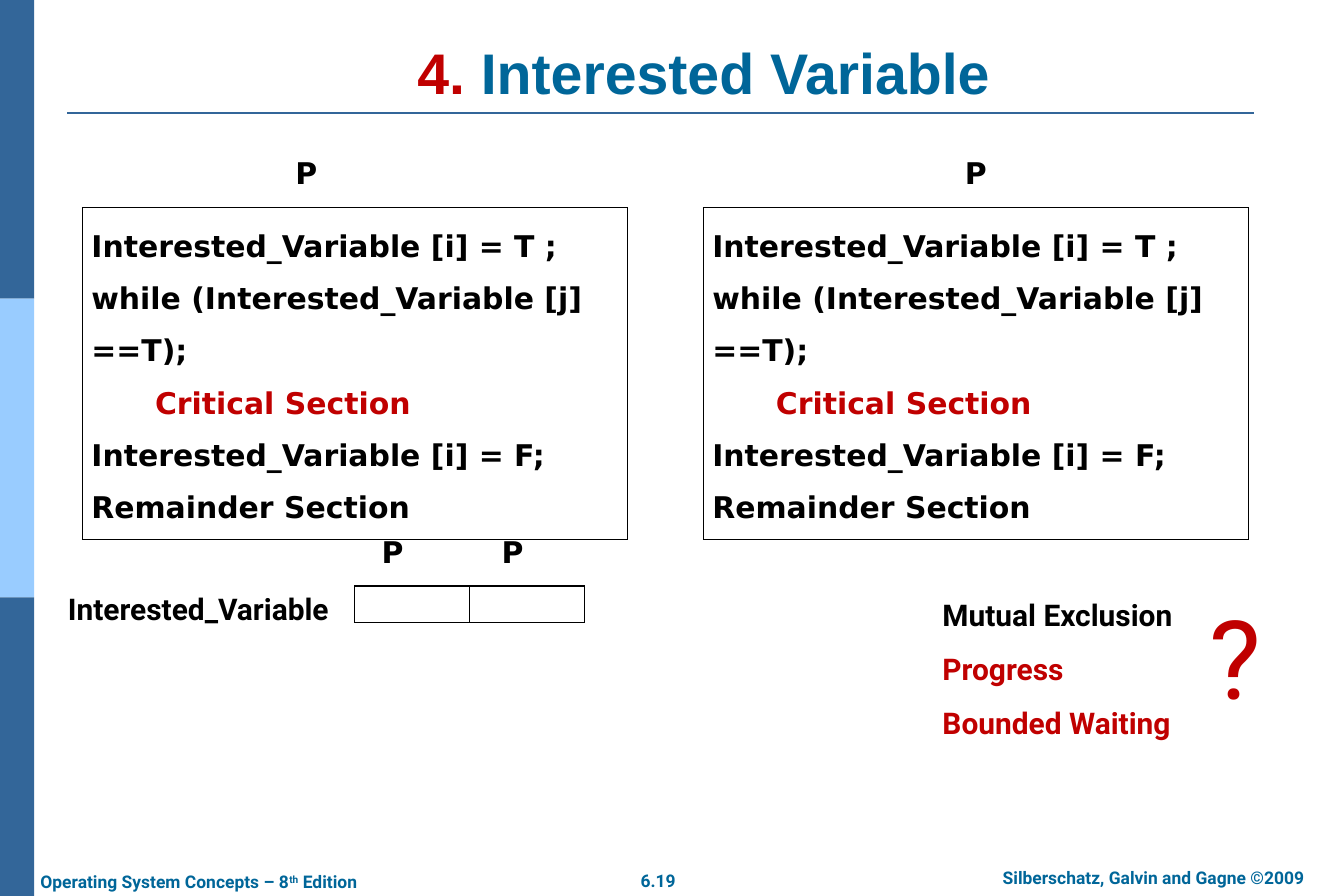
from lxml import etree
from pptx import Presentation
from pptx.dml.color import RGBColor
from pptx.enum.shapes import MSO_CONNECTOR, MSO_SHAPE
from pptx.enum.text import MSO_ANCHOR, PP_ALIGN
from pptx.oxml.ns import qn
from pptx.util import Inches, Pt

LEFT, CENTER = PP_ALIGN.LEFT, PP_ALIGN.CENTER
TOP, BOTTOM = MSO_ANCHOR.TOP, MSO_ANCHOR.BOTTOM
RECT, STRAIGHT = MSO_SHAPE.RECTANGLE, MSO_CONNECTOR.STRAIGHT

COLORS = {
    "navy": "336699",
    "sky": "99CCFF",
    "teal": "006699",
    "red": "C00000",
    "black": "000000",
}
BODY, CODE, HEADING = "Roboto", "DejaVu Sans", "Arial"
WIDE_INSETS = (0.14, 0.07)

ALGORITHM = [
    [("Interested_Variable [i] = T ;", "black")],
    [("while (Interested_Variable [j] ==T);", "black")],
    [("Critical Section", "red")],
    [("Interested_Variable [i] = F;", "black")],
    [("Remainder Section", "black")],
]
CRITICAL_SECTION = 2


class SlideBuilder:
    def __init__(self, slide):
        self.slide = slide

    def color(self, name):
        return RGBColor.from_string(COLORS[name])

    def stripe(self, x, y, w, h, color):
        s = self.slide.shapes.add_shape(RECT, Inches(x), Inches(y), Inches(w), Inches(h))
        s.shadow.inherit = False
        s.fill.solid()
        s.fill.fore_color.rgb = self.color(color)
        s.line.fill.background()

    def rule(self, x1, x2, y, color, width):
        line = self.slide.shapes.add_connector(
            STRAIGHT, Inches(x1), Inches(y), Inches(x2), Inches(y))
        line.line.color.rgb = self.color(color)
        line.line.width = Pt(width)
        etree.SubElement(line._element.spPr, qn("a:effectLst"))

    def add_paragraphs(self, tf, paragraphs, size, font, bold, align, spacing):
        for i, runs in enumerate(paragraphs):
            p = tf.add_paragraph() if i else tf.paragraphs[0]
            p.alignment = align
            p.line_spacing = spacing
            for text, color, *baseline in runs:
                r = p.add_run()
                r.text = text
                r.font.size = Pt(size)
                r.font.name = font
                r.font.bold = bold
                r.font.color.rgb = self.color(color)
                if baseline:
                    r._r.get_or_add_rPr().set("baseline", str(baseline[0] * 1000))

    def text(self, x, y, w, h, paragraphs, size=24, font=BODY, bold=True, align=LEFT,
             spacing=1.0, insets=(0.1, 0.05), anchor=TOP, wrap=True):
        tf = self.slide.shapes.add_textbox(
            Inches(x), Inches(y), Inches(w), Inches(h)).text_frame
        tf.word_wrap = wrap
        tf.vertical_anchor = anchor
        tf.margin_left = tf.margin_right = Inches(insets[0])
        tf.margin_top = tf.margin_bottom = Inches(insets[1])
        self.add_paragraphs(tf, paragraphs, size, font, bold, align, spacing)

    def border(self, cell):
        tcPr = cell._tc.get_or_add_tcPr()
        for i, side in enumerate(("a:lnL", "a:lnR", "a:lnT", "a:lnB")):
            ln = etree.Element(qn(side), w=str(Pt(1)))
            fill = etree.SubElement(ln, qn("a:solidFill"))
            etree.SubElement(fill, qn("a:srgbClr"), val=COLORS["black"])
            tcPr.insert(i, ln)

    def table(self, x, y, col_width, row_height, columns):
        table = self.slide.shapes.add_table(
            1, columns, Inches(x), Inches(y),
            Inches(col_width * columns), Inches(row_height)).table
        table.first_row = False
        table.horz_banding = False
        for cell in table.iter_cells():
            cell.fill.background()
            self.border(cell)
        return table

    def code_box(self, x, y, w, h):
        tf = self.table(x, y, w, h, 1).cell(0, 0).text_frame
        self.add_paragraphs(tf, ALGORITHM, 24, CODE, True, LEFT, 1.5)
        pPr = tf.paragraphs[CRITICAL_SECTION]._p.get_or_add_pPr()
        pPr.set("marL", str(Inches(0.71)))
        pPr.set("indent", "0")

    def process_label(self, x, y):
        self.text(x, y, 1.92, 0.5, [[("P", "black")]], font=CODE, align=CENTER)

    def footer(self, x, y, w, runs, align=CENTER, wrap=True):
        self.text(x, y, w, 0.38, [runs], size=14, align=align,
                  insets=WIDE_INSETS, wrap=wrap)


def main():
    prs = Presentation()
    prs.slide_width, prs.slide_height = Inches(15), Inches(10)
    b = SlideBuilder(prs.slides.add_slide(prs.slide_layouts[6]))

    stripe_height = 10 / 3
    for i, color in enumerate(("navy", "sky", "navy")):
        b.stripe(0, i * stripe_height, 0.38, stripe_height, color)
    b.rule(0.75, 14, 1.26, "navy", 1.5)

    b.footer(7, 9.64, 0.69, [("6.19", "teal")], wrap=False)
    b.footer(10.65, 9.61, 4.45, [("Silberschatz, Galvin and Gagne ©2009", "teal")])
    b.footer(0.31, 9.65, 4.08, [("Operating System Concepts – 8", "teal"),
                                ("th", "teal", 30), (" Edition", "teal")], align=LEFT)

    b.text(1.14, 0.41, 13.42, 0.84,
           [[("4. ", "red"), ("Interested Variable", "teal")]],
           size=46, font=HEADING, align=CENTER, insets=WIDE_INSETS, anchor=BOTTOM)

    for x, height in ((0.92, 3.59), (7.85, 3.7)):
        b.code_box(x, 2.32, 6.08, height)
    for x, y in ((2.46, 1.68), (9.93, 1.68), (3.42, 5.91), (4.76, 5.91)):
        b.process_label(x, y)

    b.text(0.66, 6.54, 3.38, 0.5, [[("Interested_Variable", "black")]])
    b.table(3.96, 6.54, 1.28, 0.41, 2)

    b.text(10.42, 6.41, 3.38, 1.84,
           [[("Mutual Exclusion", "black")], [("Progress", "red")],
            [("Bounded Waiting", "red")]], spacing=1.5)
    b.text(13.4, 6.54, 1.16, 1.58, [[("?", "red")]], size=88, bold=False)

    prs.save("out.pptx")


if __name__ == "__main__":
    main()
